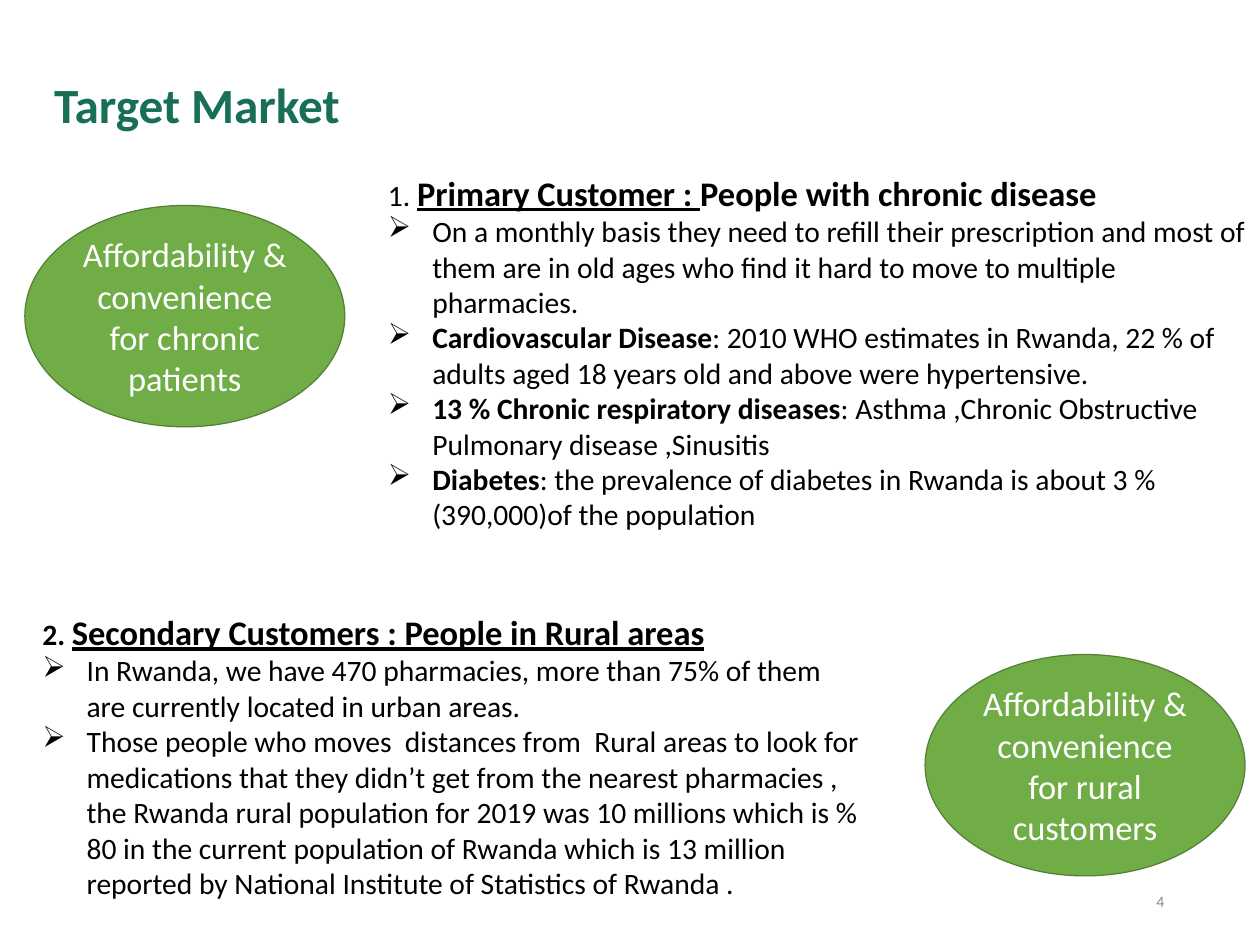
from lxml.etree import SubElement
from pptx import Presentation
from pptx.dml.color import RGBColor
from pptx.enum.shapes import MSO_SHAPE as SHAPE
from pptx.enum.text import MSO_ANCHOR as ANCHOR, PP_ALIGN as ALIGN
from pptx.oxml.ns import qn
from pptx.util import Inches, Pt

prs = Presentation()
prs.slide_width, prs.slide_height = Inches(14.22), Inches(10.67)
s = prs.slides.add_slide(prs.slide_layouts[6])
COL, ROW = prs.slide_width / 100, prs.slide_height / 100


def color(value):
    return RGBColor.from_string(value)


def add_run(p, text, size, ink="000000", bold=False, underline=False):
    r = p.add_run()
    r.text = text
    r.font.name, r.font.size = "Calibri", Pt(size)
    r.font.bold, r.font.underline = bold, underline
    r.font.color.rgb = color(ink)


labels = [
    (4.29, 7.78, 56.82, 6.47, "Target Market", 40, "176F57", True, ALIGN.LEFT, 0),
    (70.6, 92.69, 22.5, 5.34, "4", 12.8, "8C8C8C", False, ALIGN.RIGHT, 0.1),
]
for x, y, w, h, text, size, ink, bold, align, inset in labels:
    sp = s.shapes.add_textbox(int(x * COL), int(y * ROW), int(w * COL), int(h * ROW))
    tf = sp.text_frame
    tf.word_wrap = True
    tf.vertical_anchor = ANCHOR.MIDDLE
    tf.margin_left = tf.margin_right = Inches(inset)
    tf.margin_top = tf.margin_bottom = Inches(inset / 2)
    p = tf.paragraphs[0]
    p.alignment = align
    add_run(p, text, size, ink, bold)

customers = [
    (30.1, 17.71, 70.89, 39.46,
     [("1. ", 24, False, False),
      ("Primary Customer : ", 28, True, True),
      ("People with chronic disease", 28, True, False)],
     [("", "On a monthly basis they need to refill their prescription and most of "
           "them are in old ages who find it hard to move to multiple pharmacies."),
      ("Cardiovascular Disease", ": 2010 WHO estimates in Rwanda, 22 % of adults "
                                 "aged 18 years old and above were hypertensive."),
      ("13 % Chronic respiratory diseases", ": Asthma ,Chronic Obstructive "
                                            "Pulmonary disease ,Sinusitis"),
      ("Diabetes", ": the prevalence of diabetes in Rwanda is about 3 % "
                   "(390,000)of the population")]),
    (2.67, 64.2, 66.53, 31.77,
     [("2. ", 24, True, False),
      ("Secondary Customers : People in Rural areas", 28, True, True)],
     [("", "In Rwanda, we have 470 pharmacies, more than 75% of them are currently "
           "located in urban areas."),
      ("", "Those people who moves  distances from  Rural areas to look for "
           "medications that they didn’t get from the nearest pharmacies , the "
           "Rwanda rural population for 2019 was 10 millions which is % 80 in the "
           "current population of Rwanda which is 13 million reported by National "
           "Institute of Statistics of Rwanda .")]),
]
for x, y, w, h, heading, points in customers:
    sp = s.shapes.add_textbox(int(x * COL), int(y * ROW), int(w * COL), int(h * ROW))
    tf = sp.text_frame
    tf.word_wrap = True
    for text, size, bold, underline in heading:
        add_run(tf.paragraphs[0], text, size, bold=bold, underline=underline)
    for lead, rest in points:
        p = tf.add_paragraph()
        pPr = p._p.get_or_add_pPr()
        pPr.set("marL", str(Inches(0.5)))
        pPr.set("indent", str(-Inches(0.5)))
        SubElement(pPr, qn("a:buChar")).set("char", "➢")
        if lead:
            add_run(p, lead, 24, bold=True)
        add_run(p, rest, 24)

for x, y, group in [(73.42, 69.26, "rural customers"), (1.97, 21.74, "chronic patients")]:
    sp = s.shapes.add_shape(SHAPE.OVAL, int(x * COL), int(y * ROW),
                            int(25.39 * COL), int(23.43 * ROW))
    sp.shadow.inherit = False
    sp.fill.solid()
    sp.fill.fore_color.rgb = color("70AD47")
    sp.line.color.rgb = color("538035")
    sp.line.width = Pt(1)
    tf = sp.text_frame
    tf.word_wrap = True
    tf.vertical_anchor = ANCHOR.MIDDLE
    p = tf.paragraphs[0]
    p.alignment = ALIGN.CENTER
    add_run(p, f"Affordability & convenience for {group}", 28, "FFFFFF")

prs.save("out.pptx")
